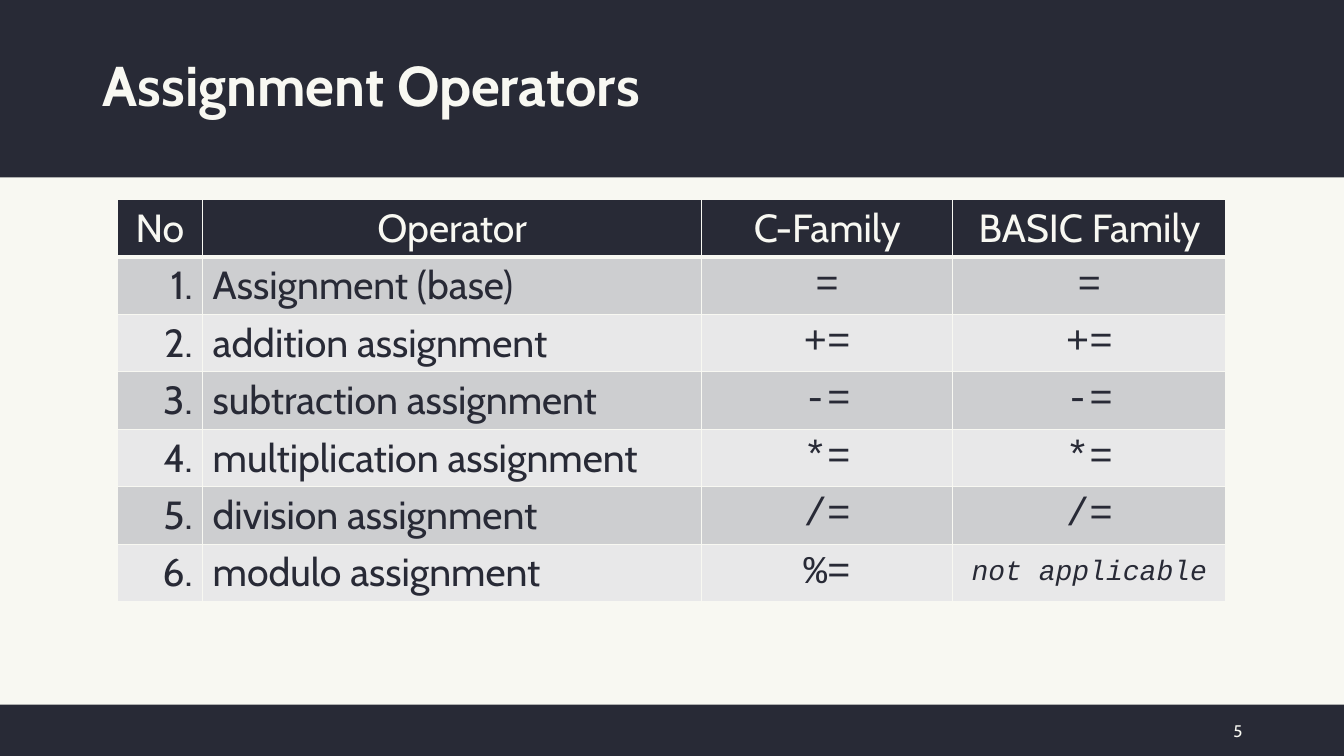
from pptx import Presentation
from pptx.dml.color import RGBColor
from pptx.enum.shapes import MSO_SHAPE
from pptx.enum.text import MSO_ANCHOR, PP_ALIGN
from pptx.oxml.ns import qn
from pptx.util import Inches, Pt
from lxml.etree import SubElement

DARK, LIGHT = "282A36", "F8F8F2"
STRIPES = ["CDCED0", "E8E8E9"]
SANS, MONO = "Cabin", "Courier New"

HEADS = ["No", "Operator", "C-Family", "BASIC Family"]
ROWS = [
    ("Assignment (base)", "=", "="),
    ("addition assignment", "+=", "+="),
    ("subtraction assignment", "-=", "-="),
    ("multiplication assignment", "*=", "*="),
    ("division assignment", "/=", "/="),
    ("modulo assignment", "%=", "not applicable"),
]
WIDTHS = [0.85, 4.95, 2.49, 2.71]
ROW_H = 0.57


def paint(fill, color):
    fill.solid()
    fill.fore_color.rgb = RGBColor.from_string(color)


def write(frame, text, size=28, font=SANS, color=DARK, bold=False,
          italic=False, align=PP_ALIGN.LEFT, spacing=None):
    para = frame.paragraphs[0]
    para.alignment = align
    para.line_spacing = spacing
    run = para.add_run()
    run.text = text
    run.font.size = Pt(size)
    run.font.name = font
    run.font.bold = bold
    run.font.italic = italic
    run.font.color.rgb = RGBColor.from_string(color)


def add_band(slide, top, height):
    band = slide.shapes.add_shape(
        MSO_SHAPE.RECTANGLE, 0, Inches(top), Inches(13.33), Inches(height))
    band.shadow.inherit = False
    band.line.fill.background()
    paint(band.fill, DARK)


def set_title(slide, text):
    title = slide.shapes.title
    title.left, title.top = Inches(0.92), Inches(0.15)
    title.width, title.height = Inches(11.5), Inches(1.45)
    title.text_frame.vertical_anchor = MSO_ANCHOR.MIDDLE
    write(title.text_frame, text, size=40, color=LIGHT, bold=True, spacing=0.9)
    # Bring the title in front of the bands
    slide.shapes.element.append(title.element)


def add_number(slide, text):
    box = slide.shapes.add_textbox(
        Inches(11.68), Inches(7.05), Inches(0.74), Inches(0.4))
    box.text_frame.word_wrap = True
    box.text_frame.vertical_anchor = MSO_ANCHOR.MIDDLE
    write(box.text_frame, text, size=12, color=LIGHT, align=PP_ALIGN.RIGHT)


def set_edges(cell, base=1):
    props = cell._tc.get_or_add_tcPr()
    for side, width in zip("LRTB", (1, 1, 1, base)):
        line = SubElement(props, qn(f"a:ln{side}"), w=str(Pt(width)))
        fill = SubElement(line, qn("a:solidFill"))
        SubElement(fill, qn("a:srgbClr"), val=LIGHT)


def fill_cell(cell, text, back, base=1, **style):
    set_edges(cell, base)
    paint(cell.fill, back)
    write(cell.text_frame, text, **style)


def add_grid(slide):
    grid = slide.shapes.add_table(
        len(ROWS) + 1, len(HEADS), Inches(1.16), Inches(1.98),
        Inches(sum(WIDTHS)), Inches(ROW_H * (len(ROWS) + 1))).table
    for col, width in zip(grid.columns, WIDTHS):
        col.width = Inches(width)
    for row in grid.rows:
        row.height = Inches(ROW_H)

    # Header row
    for col, head in enumerate(HEADS):
        fill_cell(grid.cell(0, col), head, DARK, base=3,
                  color=LIGHT, align=PP_ALIGN.CENTER)

    # Striped body rows
    for row, (name, *signs) in enumerate(ROWS, 1):
        back = STRIPES[(row - 1) % 2]
        fill_cell(grid.cell(row, 0), f"{row}.", back, align=PP_ALIGN.RIGHT)
        fill_cell(grid.cell(row, 1), name, back)
        for col, sign in enumerate(signs, 2):
            cell = grid.cell(row, col)
            cell.vertical_anchor = MSO_ANCHOR.MIDDLE
            note = sign == "not applicable"
            fill_cell(cell, sign, back, font=MONO, size=20 if note else 28,
                      italic=note, align=PP_ALIGN.CENTER)


def main():
    deck = Presentation()
    deck.slide_width, deck.slide_height = Inches(13.33), Inches(7.5)
    slide = deck.slides.add_slide(deck.slide_layouts[5])
    paint(slide.background.fill, LIGHT)

    # Top and bottom bands
    add_band(slide, 0, 1.76)
    add_band(slide, 6.99, 0.51)

    # Content
    set_title(slide, "Assignment Operators")
    add_number(slide, "5")
    add_grid(slide)
    deck.save("out.pptx")


if __name__ == "__main__":
    main()
